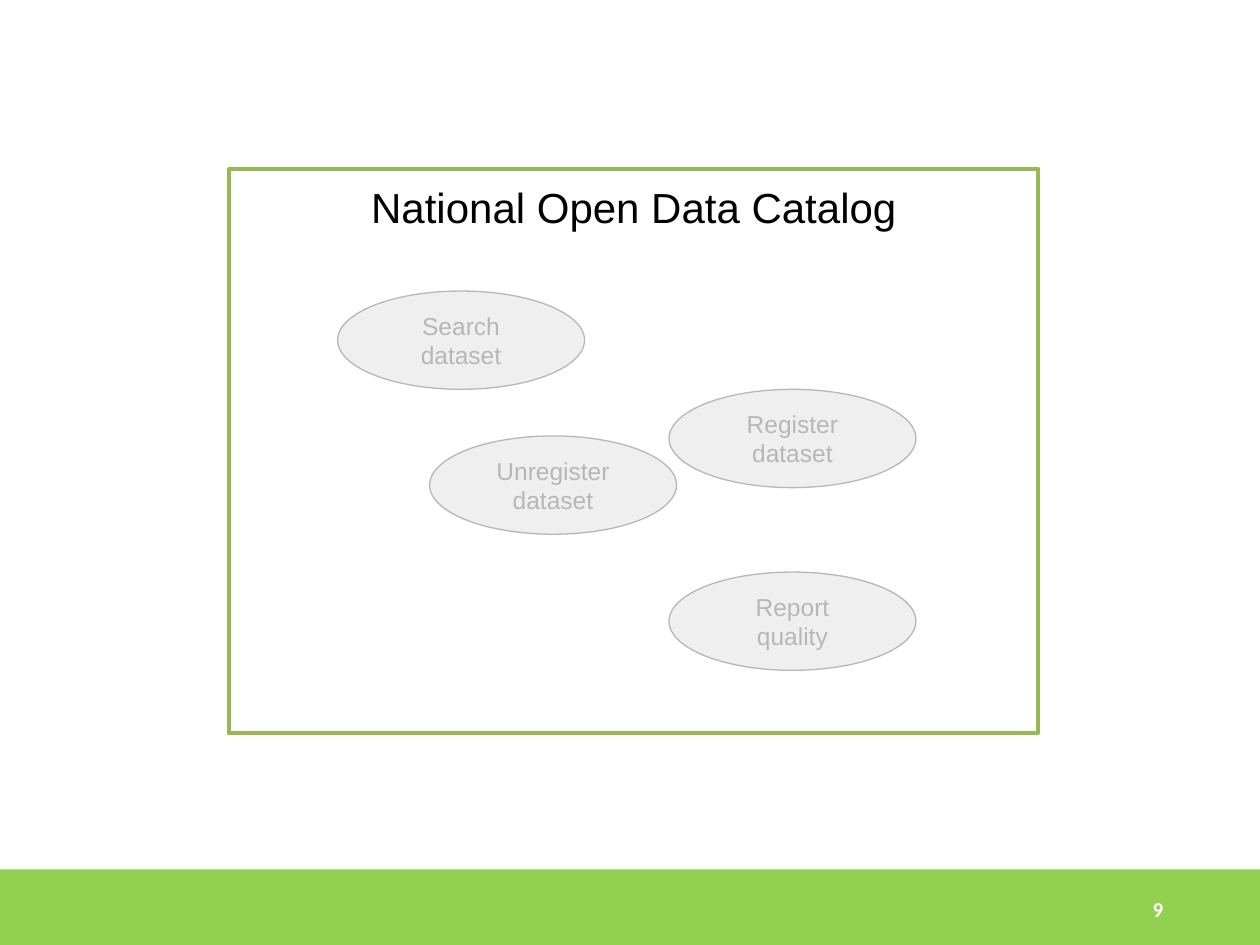
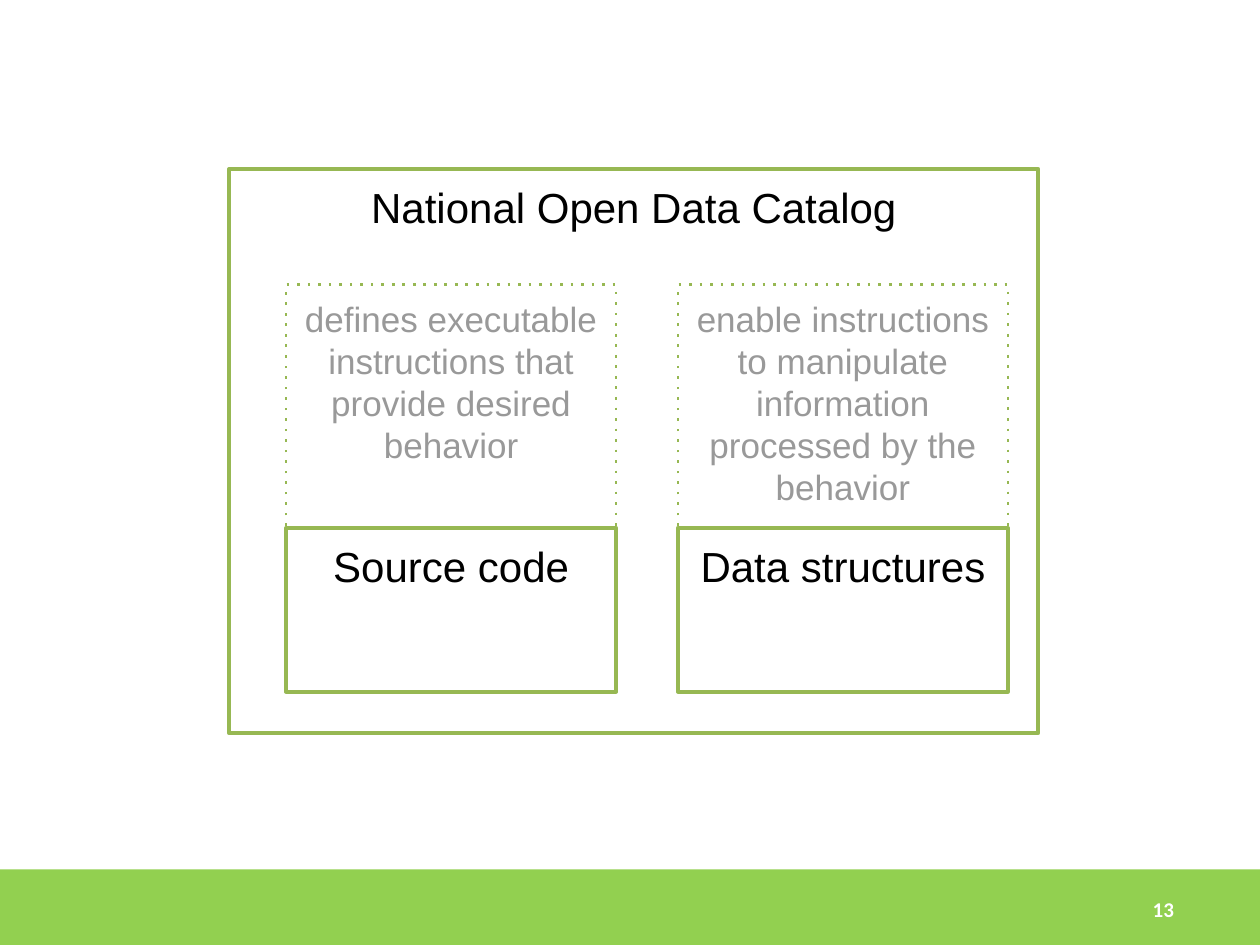
from lxml import etree
from pptx import Presentation
from pptx.dml.color import RGBColor
from pptx.enum.shapes import MSO_SHAPE
from pptx.enum.text import MSO_ANCHOR, PP_ALIGN
from pptx.oxml.ns import qn
from pptx.util import Inches, Pt

RECTANGLE, OVAL = MSO_SHAPE.RECTANGLE, MSO_SHAPE.OVAL
TOP, MIDDLE = MSO_ANCHOR.TOP, MSO_ANCHOR.MIDDLE
LEFT, CENTER = PP_ALIGN.LEFT, PP_ALIGN.CENTER

BAND_GREEN, FRAME_GREEN = "92D050", "97B853"
BLACK, WHITE, GRAY = "000000", "FFFFFF", "999999"
FADED_FILL, FADED_INK = "EFEFEF", "B7B7B7"

SYSTEM = "National Open Data Catalog"
USE_CASES = [
    ("Search dataset", 2.68, 2.31),
    ("Register dataset", 5.31, 3.09),
    ("Unregister dataset", 3.41, 3.46),
    ("Report quality", 5.31, 4.54),
]
PARTS = [
    ("Source code",
     "defines executable instructions that provide desired behavior"),
    ("Data structures",
     "enable instructions to manipulate information processed by the behavior"),
]

FOOTER_TOP, FOOTER_HEIGHT = 6.9, 0.63
USE_CASE_SIZE = (1.96, 0.78)
PART_LEFT, PART_PITCH, PART_WIDTH = 2.27, 3.11, 2.62
ROLE_TOP, ROLE_HEIGHT = 2.26, 1.94
PART_TOP, PART_HEIGHT = 4.19, 1.3


def rgb(color):
    return RGBColor.from_string(color)


def write(shape, text, size, color, font="Arial", bold=False,
          align=CENTER, anchor=TOP, margin=0.1):
    frame = shape.text_frame
    frame.text = text
    frame.word_wrap = True
    frame.vertical_anchor = anchor
    frame.margin_left = frame.margin_right = Inches(0.1)
    frame.margin_top = frame.margin_bottom = Inches(margin)
    paragraph = frame.paragraphs[0]
    paragraph.alignment = align
    style = paragraph.runs[0].font
    style.name, style.size, style.bold = font, Pt(size), bold
    style.color.rgb = rgb(color)


def draw(slide, kind, box, fill=None, line=None, width=2.25, dotted=False):
    shape = slide.shapes.add_shape(kind, *map(Inches, box))
    shape.shadow.inherit = False
    if fill:
        shape.fill.solid()
        shape.fill.fore_color.rgb = rgb(fill)
    else:
        shape.fill.background()
    if line:
        shape.line.color.rgb = rgb(line)
        shape.line.width = Pt(width)
        outline = shape._element.spPr.find(qn("a:ln"))
        if dotted:
            etree.SubElement(outline, qn("a:prstDash")).set("val", "dot")
        etree.SubElement(outline, qn("a:round"))
    else:
        shape.line.fill.background()
    return shape


def add_catalog_slide(deck, number):
    slide = deck.slides.add_slide(deck.slide_layouts[6])
    draw(slide, RECTANGLE, (0, FOOTER_TOP, 10, FOOTER_HEIGHT), BAND_GREEN)
    page = slide.shapes.add_textbox(
        *map(Inches, (9.05, FOOTER_TOP, 0.83, FOOTER_HEIGHT)))
    write(page, str(number), 12, WHITE, "Calibri", True, LEFT, MIDDLE, 0.05)
    catalog = draw(slide, RECTANGLE, (1.82, 1.34, 6.42, 4.48), line=FRAME_GREEN)
    write(catalog, SYSTEM, 24, BLACK)
    return slide


def add_use_cases(slide):
    for name, left, top in USE_CASES:
        use_case = draw(slide, OVAL, (left, top, *USE_CASE_SIZE),
                        FADED_FILL, FADED_INK, 0.75)
        write(use_case, name, 14, FADED_INK, anchor=MIDDLE)


def add_parts(slide):
    for index, (name, role) in enumerate(PARTS):
        left = PART_LEFT + index * PART_PITCH
        part = draw(slide, RECTANGLE, (left, PART_TOP, PART_WIDTH, PART_HEIGHT),
                    line=FRAME_GREEN)
        write(part, name, 24, BLACK)
        purpose = draw(slide, RECTANGLE, (left, ROLE_TOP, PART_WIDTH, ROLE_HEIGHT),
                       line=FRAME_GREEN, width=1.5, dotted=True)
        write(purpose, role, 20, GRAY)


def main():
    deck = Presentation()
    deck.slide_width, deck.slide_height = Inches(10), Inches(7.5)
    add_use_cases(add_catalog_slide(deck, 9))
    add_parts(add_catalog_slide(deck, 13))
    deck.save("out.pptx")


if __name__ == "__main__":
    main()
